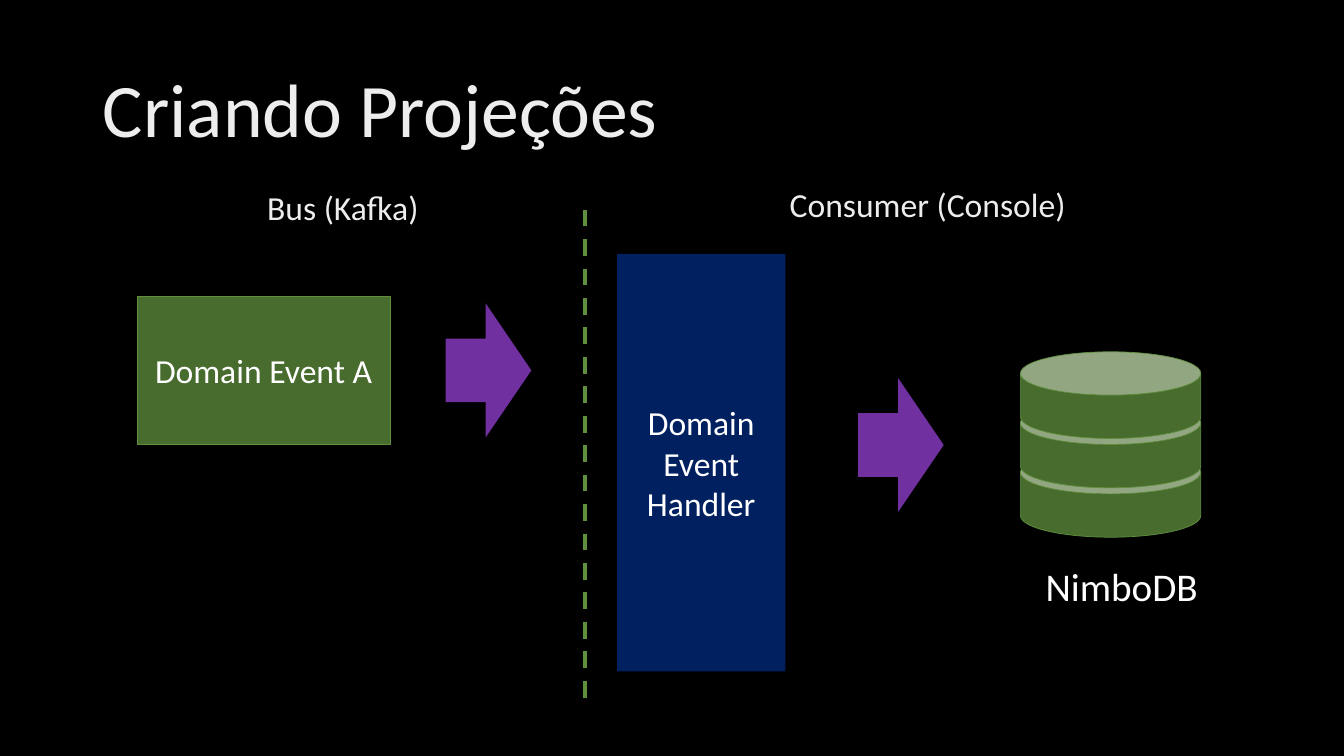
from dataclasses import dataclass

from lxml import etree
from pptx import Presentation
from pptx.dml.color import RGBColor
from pptx.enum.dml import MSO_LINE
from pptx.enum.shapes import MSO_CONNECTOR, MSO_SHAPE
from pptx.enum.text import MSO_ANCHOR, MSO_AUTO_SIZE, PP_ALIGN
from pptx.oxml.ns import qn
from pptx.util import Inches, Pt

RECTANGLE, ARROW, CAN = MSO_SHAPE.RECTANGLE, MSO_SHAPE.RIGHT_ARROW, MSO_SHAPE.CAN
STRAIGHT = MSO_CONNECTOR.STRAIGHT
DASH = MSO_LINE.DASH
LEFT, CENTER = PP_ALIGN.LEFT, PP_ALIGN.CENTER
TOP, MIDDLE = MSO_ANCHOR.TOP, MSO_ANCHOR.MIDDLE
NO_AUTOFIT = MSO_AUTO_SIZE.NONE


@dataclass(frozen=True)
class Theme:
    font: str = "Calibri"
    background: RGBColor = RGBColor(0x00, 0x00, 0x00)
    heading: RGBColor = RGBColor(0xED, 0xED, 0xED)
    text: RGBColor = RGBColor(0xFF, 0xFF, 0xFF)
    green: RGBColor = RGBColor(0x48, 0x6B, 0x2E)
    green_line: RGBColor = RGBColor(0x60, 0x8F, 0x3D)
    navy: RGBColor = RGBColor(0x00, 0x20, 0x60)
    purple: RGBColor = RGBColor(0x70, 0x30, 0xA0)
    title_size: int = 54
    caption_size: int = 28
    label_size: int = 24


THEME = Theme()


def inches(*lengths):
    return [Inches(length) for length in lengths]


def write(shape, text, size, color, align=CENTER, anchor=MIDDLE, spacing=1.0, wrap=True):
    frame = shape.text_frame
    frame.word_wrap = wrap
    frame.auto_size = NO_AUTOFIT
    frame.vertical_anchor = anchor
    paragraph = frame.paragraphs[0]
    paragraph.alignment = align
    paragraph.line_spacing = spacing
    run = paragraph.add_run()
    run.text = text
    run.font.name = THEME.font
    run.font.size = Pt(size)
    run.font.color.rgb = color


def add_block(slide, kind, box, fill, line=None, adjustments=()):
    shape = slide.shapes.add_shape(kind, *inches(*box))
    shape.shadow.inherit = False
    shape.fill.solid()
    shape.fill.fore_color.rgb = fill
    if line is None:
        shape.line.fill.background()
    else:
        shape.line.color.rgb = line
        shape.line.width = Pt(0.5)
    for index, value in enumerate(adjustments):
        shape.adjustments[index] = value
    return shape


def add_title(slide, box, text):
    title = slide.shapes.title
    title.left, title.top, title.width, title.height = inches(*box)
    write(title, text, THEME.title_size, THEME.heading, align=LEFT, spacing=0.9)


def add_heading(slide, box, text):
    heading = slide.shapes.add_textbox(*inches(*box))
    write(heading, text, THEME.label_size, THEME.heading, spacing=0.9)


def add_flow_arrow(slide, left, top):
    add_block(slide, ARROW, (left, top, 0.85, 1.33), THEME.purple,
              adjustments=(0.475, 0.533))


def add_divider(slide, x, top, bottom):
    divider = slide.shapes.add_connector(STRAIGHT, *inches(x, top, x, bottom))
    divider.line.color.rgb = THEME.green_line
    divider.line.width = Pt(3)
    divider.line.dash_style = DASH
    etree.SubElement(divider._element.spPr, qn("a:effectLst"))


def add_database(slide, box, name):
    left, top, width, height = box
    disk_height, disk_step = 0.86, 0.49
    # Lowest disk first, so each one overlaps the disk below it
    for level in reversed(range(3)):
        add_block(slide, CAN, (left, top + level * disk_step, width, disk_height),
                  THEME.green, THEME.green_line, (0.5,))
    caption_height = 0.57
    caption = slide.shapes.add_textbox(
        *inches(left + 0.08, top + height - caption_height, 1.85, caption_height))
    write(caption, name, THEME.caption_size, THEME.text, anchor=TOP, wrap=False)


def add_bus(slide, box):
    left, top, width, height = box
    add_heading(slide, (left, top, width, 0.88), "Bus (Kafka)")
    event = add_block(slide, RECTANGLE, (left, top + 1.3, 2.51, 1.47),
                      THEME.green, THEME.green_line)
    write(event, "Domain Event A", THEME.label_size, THEME.text)
    add_flow_arrow(slide, left + 3.06, top + 1.37)


def add_consumer(slide, box):
    left, top, width, height = box
    add_heading(slide, (left + 1.04, top, 4.08, 0.88), "Consumer (Console)")
    handler = add_block(slide, RECTANGLE, (left, top + 0.91, 1.67, height - 0.91),
                        THEME.navy)
    write(handler, "Domain Event Handler", THEME.label_size, THEME.text)
    add_flow_arrow(slide, left + 2.39, top + 2.14)
    add_database(slide, (left + 4, top + 1.88, 1.79, 2.61), "NimboDB")


def main():
    presentation = Presentation()
    presentation.slide_width, presentation.slide_height = inches(13.33, 7.5)
    slide = presentation.slides.add_slide(presentation.slide_layouts.get_by_name("Title Only"))
    slide.background.fill.solid()
    slide.background.fill.fore_color.rgb = THEME.background

    add_title(slide, (0.92, 0.4, 11.5, 1.45), "Criando Projeções")
    # Left side: event bus; right side: consumer and its store
    add_bus(slide, (1.36, 1.64, 4.08, 2.77))
    add_divider(slide, 5.8, 2.08, 7.01)
    add_consumer(slide, (6.12, 1.61, 5.93, 5.05))
    presentation.save("out.pptx")


if __name__ == "__main__":
    main()
